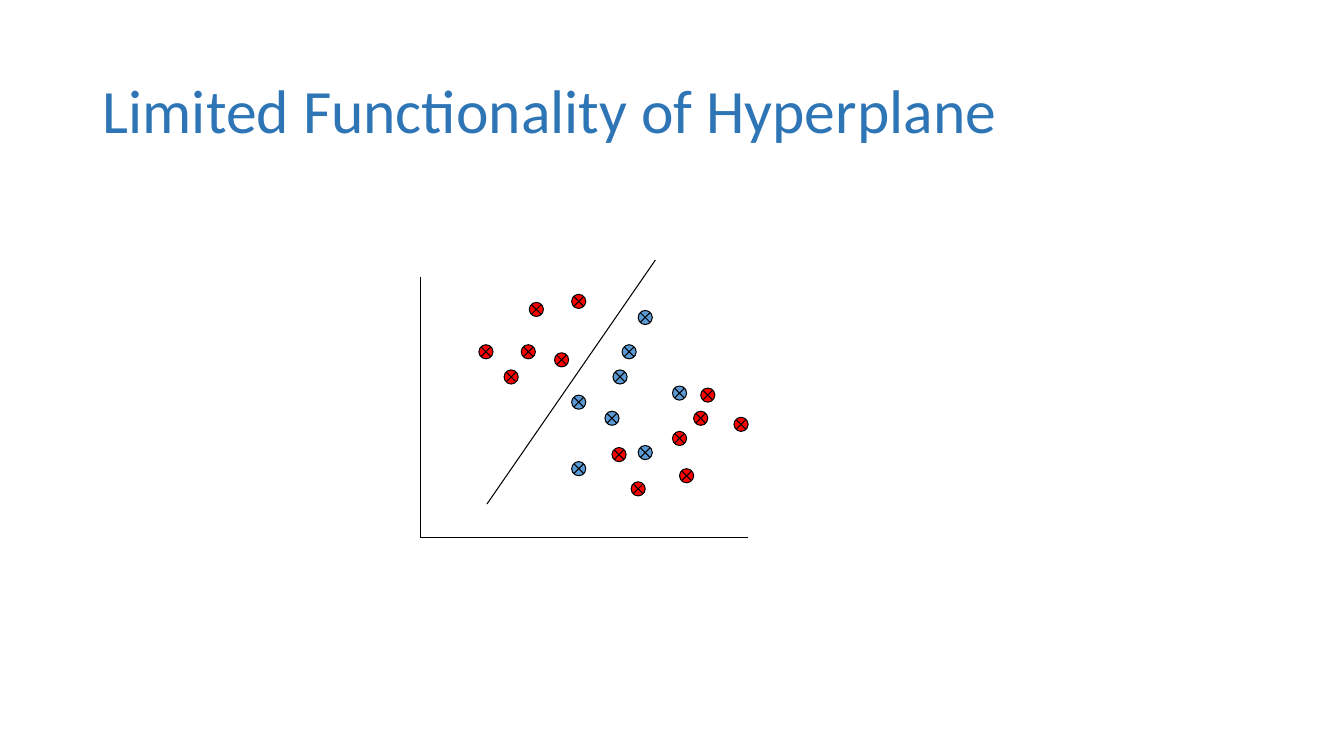
from pptx import Presentation
from pptx.dml.color import RGBColor
from pptx.enum.shapes import MSO_CONNECTOR, MSO_SHAPE
from pptx.enum.text import MSO_ANCHOR, PP_ALIGN
from pptx.oxml.ns import qn
from pptx.util import Inches, Pt
from lxml import etree

STRAIGHT = MSO_CONNECTOR.STRAIGHT
MARKER = MSO_SHAPE.FLOWCHART_SUMMING_JUNCTION
MIDDLE = MSO_ANCHOR.MIDDLE
LEFT = PP_ALIGN.LEFT

TITLE = "Limited Functionality of Hyperplane"
COLORS = {"title": "2E75B6", "line": "000000", "blue": "5B9BD5", "red": "FF0000"}

# Start and end points, in inches
ORIGIN = (4.17, 5.33)
AXES = [((4.17, 2.75), ORIGIN), (ORIGIN, (7.42, 5.33))]
HYPERPLANE = ((4.83, 5), (6.5, 2.58))

# Left and top of each marker, in inches
CLASSES = {
    "blue": [
        (6.33, 3.08), (5.67, 3.92), (6.08, 3.67), (6.17, 3.42),
        (5.67, 4.58), (6, 4.08), (6.67, 3.83), (6.33, 4.42),
    ],
    "red": [
        (5, 3.67), (5.25, 3), (6.95, 3.85), (5.5, 3.5), (4.75, 3.42),
        (5.67, 2.92), (5.17, 3.42), (7.28, 4.14), (6.88, 4.08),
        (6.74, 4.65), (6.67, 4.28), (6.26, 4.78), (6.07, 4.44),
    ],
}
MARKER_SIZE = Inches(0.14)


def color(name):
    return RGBColor.from_string(COLORS[name])


def style_line(line):
    line.color.rgb = color("line")
    line.width = Pt(0.75)


def add_title(page):
    title = page.shapes.title
    title.left, title.top = Inches(0.92), Inches(0.4)
    title.width, title.height = Inches(11.5), Inches(1.45)
    frame = title.text_frame
    frame.text = TITLE
    frame.word_wrap = True
    frame.vertical_anchor = MIDDLE
    para = frame.paragraphs[0]
    para.line_spacing = 0.9
    para.alignment = LEFT
    font = para.runs[0].font
    font.name = "Calibri"
    font.size = Pt(44)
    font.color.rgb = color("title")


def add_line(page, start, end):
    ends = [Inches(value) for value in start + end]
    connector = page.shapes.add_connector(STRAIGHT, *ends)
    style_line(connector.line)
    etree.SubElement(connector._element.spPr, qn("a:effectLst"))


def add_marker(page, fill, left, top):
    marker = page.shapes.add_shape(
        MARKER, Inches(left), Inches(top), MARKER_SIZE, MARKER_SIZE)
    marker.shadow.inherit = False
    marker.fill.solid()
    marker.fill.fore_color.rgb = color(fill)
    style_line(marker.line)


def main():
    deck = Presentation()
    deck.slide_width, deck.slide_height = Inches(13.33), Inches(7.5)
    page = deck.slides.add_slide(deck.slide_layouts.get_by_name("Title Only"))
    add_title(page)
    for start, end in AXES + [HYPERPLANE]:
        add_line(page, start, end)
    for fill, points in CLASSES.items():
        for left, top in points:
            add_marker(page, fill, left, top)
    deck.save("out.pptx")


if __name__ == "__main__":
    main()
